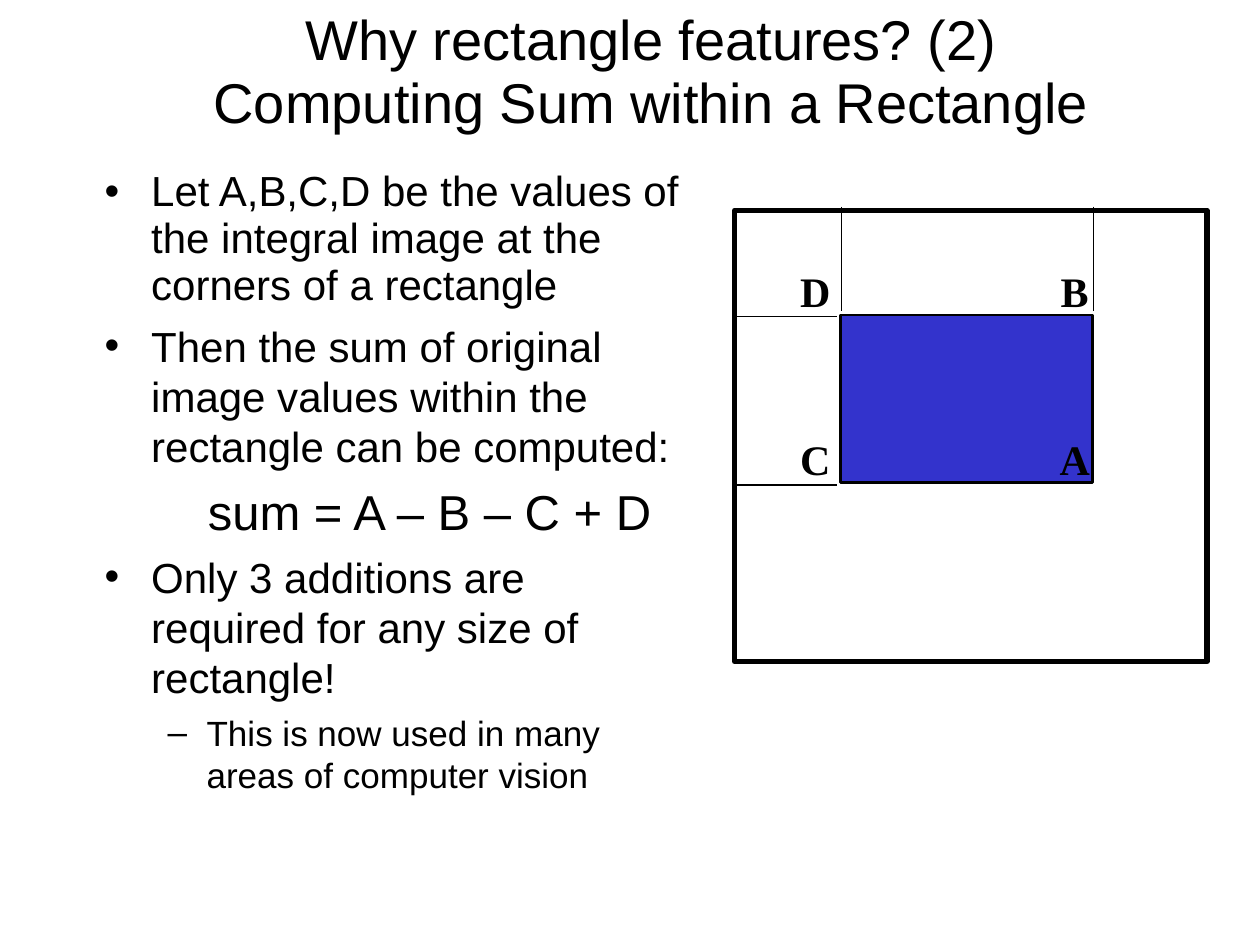
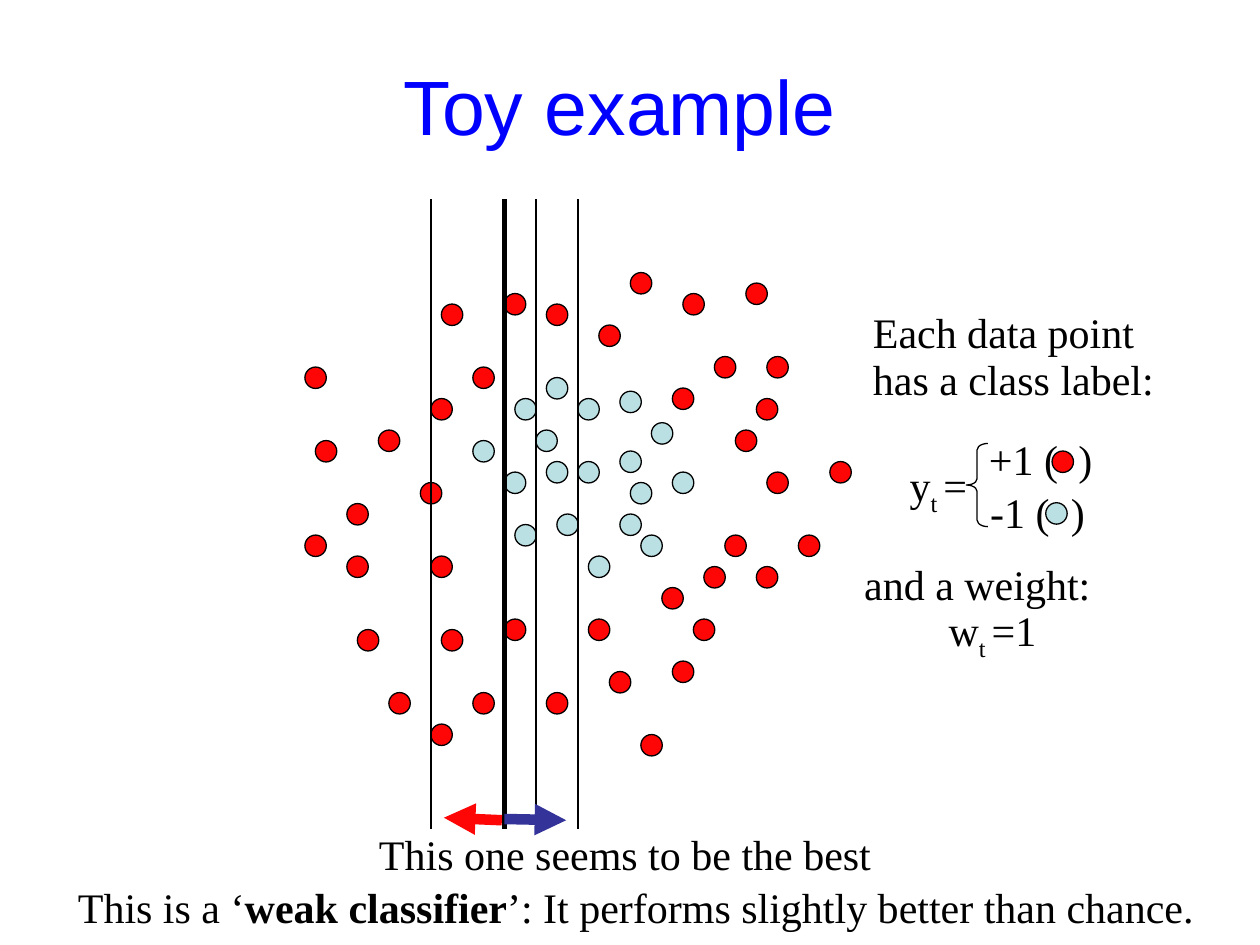
from lxml.etree import SubElement
from pptx import Presentation
from pptx.dml.color import RGBColor
from pptx.enum.shapes import MSO_CONNECTOR, MSO_SHAPE
from pptx.enum.text import MSO_ANCHOR, MSO_AUTO_SIZE, PP_ALIGN
from pptx.oxml.ns import qn
from pptx.util import Inches, Pt

COLORS = {
    "black": "000000",
    "white": "FFFFFF",
    "title blue": "0000FF",
    "rectangle": "3333CC",
    "positive": "FE0606",
    "negative": "BBE0E3",
    "right arrow": "333399",
}
HEADING_FONT = "Arial"
LABEL_FONT = "Times New Roman"
LINE_SPACING = 0.93
TITLE_ONLY, TITLE_AND_BODY = 5, 1
GRID = 1 / 12
DOT_SIZE = 0.17

# Bullet, text, size, left margin, first-line indent, level, space before, line spacing
BODY_ITEMS = [
    ("•", "Let A,B,C,D be the values of the integral image at the corners of a rectangle",
     24, 0.37, -0.37, 0, 0, LINE_SPACING),
    ("•", "Then the sum of original image values within the rectangle can be computed:",
     24, 0.37, -0.37, 0, 6, 1),
    (None, "sum = A – B – C + D", 28, 0.82, 0, 1, 6, 1),
    ("•", "Only 3 additions are required for any size of rectangle!",
     24, 0.37, -0.37, 0, 6, 1),
    ("–", "This is now used in many areas of computer vision",
     20, 0.81, -0.31, 1, 5, 1),
]

# Dot places as (column, row) steps of GRID inside the plot
NEGATIVE_DOTS = [
    (26, 19), (30, 18.3), (33, 21.3), (23, 25), (30, 30), (35, 26),
    (20, 31), (26, 25), (30, 24), (31, 27), (24, 30), (19, 26),
    (20, 19), (27, 34), (22, 22), (32, 32), (16, 23), (23, 17),
]
POSITIVE_DOTS = [
    (44, 26), (43, 19), (40, 32), (43, 35), (50, 25), (47, 32), (1, 23),
    (0, 16), (0, 32), (7, 22), (4, 29), (13, 41), (12, 34), (12, 50),
    (19, 40), (16, 47), (29, 45), (27, 40), (23, 47), (35, 44), (32, 51),
    (13, 10), (23, 10), (12, 19), (19, 9), (16, 16), (36, 9), (28, 12),
    (35, 18), (42, 8), (39, 15), (5, 41), (4, 34), (11, 27), (8, 47),
    (31, 7), (44, 15), (41, 22), (34, 37), (37, 40), (38, 35),
]
THRESHOLDS = [(26, 0.75), (22, 0.75), (19, 3), (12, 0.75)]
THRESHOLD_ROWS = 60


def color(name):
    return RGBColor.from_string(COLORS[name])


def place(shape, left, top, width, height):
    shape.left, shape.top = Inches(left), Inches(top)
    shape.width, shape.height = Inches(width), Inches(height)


def format_font(paragraph, name, size, color_name="black", bold=None):
    font = paragraph.font
    font.name, font.size, font.bold = name, Pt(size), bold
    font.color.rgb = color(color_name)


def set_title(slide, box, text, size, color_name="black"):
    title = slide.shapes.title
    place(title, *box)
    title.text_frame.text = text
    title.text_frame.auto_size = MSO_AUTO_SIZE.NONE
    title.text_frame.vertical_anchor = MSO_ANCHOR.MIDDLE
    paragraph = title.text_frame.paragraphs[0]
    paragraph.alignment = PP_ALIGN.CENTER
    paragraph.line_spacing = LINE_SPACING
    format_font(paragraph, HEADING_FONT, size, color_name)


def set_bullet(paragraph, character, margin, indent):
    properties = paragraph._p.get_or_add_pPr()
    properties.set("marL", str(Inches(margin)))
    properties.set("indent", str(Inches(indent)))
    if character:
        SubElement(properties, qn("a:buChar")).set("char", character)
    else:
        SubElement(properties, qn("a:buNone"))


def fill_body(slide, box):
    body = slide.placeholders[1]
    place(body, *box)
    frame = body.text_frame
    frame.auto_size = MSO_AUTO_SIZE.NONE
    for index, item in enumerate(BODY_ITEMS):
        bullet, text, size, margin, indent, level, before, spacing = item
        paragraph = frame.add_paragraph() if index else frame.paragraphs[0]
        paragraph.text = text
        paragraph.level = level
        set_bullet(paragraph, bullet, margin, indent)
        paragraph.space_before = Pt(before)
        paragraph.line_spacing = spacing
        format_font(paragraph, HEADING_FONT, size)


def add_preset(slide, kind, box, fill=None, line_width=0.75):
    shape = slide.shapes.add_shape(kind, *map(Inches, box))
    shape.shadow.inherit = False
    if fill:
        shape.fill.solid()
        shape.fill.fore_color.rgb = color(fill)
    else:
        shape.fill.background()
    shape.line.color.rgb = color("black")
    shape.line.width = Pt(line_width)
    return shape


def add_dot(slide, left, top, fill):
    add_preset(slide, MSO_SHAPE.OVAL, (left, top, DOT_SIZE, DOT_SIZE), fill)


def add_line(slide, start, end, width=0.75, color_name="black", arrow=False):
    line = slide.shapes.add_connector(
        MSO_CONNECTOR.STRAIGHT, *map(Inches, (*start, *end)))
    line.line.color.rgb = color(color_name)
    line.line.width = Pt(width)
    if arrow:
        SubElement(line.line._get_or_add_ln(), qn("a:tailEnd")).set("type", "triangle")
    SubElement(line._element.spPr, qn("a:effectLst"))


def add_label(slide, box, *parts, bold=None, alignment=PP_ALIGN.LEFT, tab=None):
    """Add a text box; each part is a string or a (string, style) pair."""
    frame = slide.shapes.add_textbox(*map(Inches, box)).text_frame
    frame.word_wrap = True
    centered = alignment == PP_ALIGN.CENTER
    frame.margin_left = Inches(0 if centered else 0.1)
    frame.margin_right = 0
    paragraph = frame.paragraphs[0]
    paragraph.alignment = alignment
    paragraph.line_spacing = LINE_SPACING
    if tab:
        stops = SubElement(paragraph._p.get_or_add_pPr(), qn("a:tabLst"))
        SubElement(stops, qn("a:tab"), pos=str(Inches(tab)), algn="l")
    format_font(paragraph, LABEL_FONT, 24, bold=bold)
    for part in parts:
        text, style = (part, None) if isinstance(part, str) else part
        run = paragraph.add_run()
        run.text = text
        if style == "bold":
            run.font.bold = True
        elif style == "subscript":
            run._r.get_or_add_rPr().set("baseline", "-25000")


def add_integral_image(slide, box):
    """Draw the image frame, the summed rectangle, its corners and guides."""
    left, top, width, height = box
    add_preset(slide, MSO_SHAPE.RECTANGLE, box, "white", 3)
    inner_left, inner_top = left + 0.84, top + 0.83
    inner_width, inner_height = 2, 1.33
    add_preset(slide, MSO_SHAPE.RECTANGLE,
               (inner_left, inner_top, inner_width, inner_height), "rectangle", 1.5)
    corners = [("D", 0, 0), ("B", 1, 0), ("C", 0, 1), ("A", 1, 1)]
    for letter, column, row in corners:
        label_box = (inner_left - 0.42 + column * 2.06,
                     inner_top - 0.41 + row * 1.34, 0.44, 0.48)
        add_label(slide, label_box, letter, bold=True, alignment=PP_ALIGN.CENTER)
    for y in (inner_top + 0.01, inner_top + inner_height + 0.02):
        add_line(slide, (left + 0.02, y), (inner_left - 0.03, y))
    for x in (inner_left + 0.01, inner_left + inner_width + 0.01):
        add_line(slide, (x, top - 0.03), (x, inner_top - 0.03))


def add_scatter(slide, left, top):
    """Draw the data points, the candidate thresholds and the side arrows."""
    for dots, fill in ((NEGATIVE_DOTS, "negative"), (POSITIVE_DOTS, "positive")):
        for column, row in dots:
            add_dot(slide, left + column * GRID, top + row * GRID, fill)
    bottom = top + THRESHOLD_ROWS * GRID
    for column, width in THRESHOLDS:
        x = left + column * GRID
        add_line(slide, (x, top), (x, bottom), width)
    best = left + 19 * GRID
    add_line(slide, (best - 0.02, bottom - 0.07), (best - 0.48, bottom - 0.09),
             6, "positive", arrow=True)
    add_line(slide, (best, bottom - 0.08), (best + 0.49, bottom - 0.07),
             6, "right arrow", arrow=True)


def add_class_legend(slide, left, top):
    """Explain the class label and the weight of each data point."""
    add_label(slide, (left + 0.07, top, 2.5, 0.9), "Each data point has a class label:")
    add_label(slide, (left + 0.36, top + 1.18, 0.65, 0.53),
              "y", ("t ", "subscript"), "=")
    brace = add_preset(slide, MSO_SHAPE.LEFT_BRACE, (left + 0.91, top + 1.1, 0.17, 0.66))
    brace.adjustments[0] = 0.3
    classes = [("+1 (\t)", 0.99, 1.01, 0.71, 1.59, 1.16, "positive"),
               ("-1 (\t)", 1, 1.43, 0.64, 1.54, 1.57, "negative")]
    for text, text_x, text_y, tab, dot_x, dot_y, fill in classes:
        add_label(slide, (left + text_x, top + text_y, 1.03, 0.48), text, tab=tab)
        add_dot(slide, left + dot_x, top + dot_y, fill)
    add_label(slide, (left, top + 2, 1.99, 0.48), "and a weight:")
    add_label(slide, (left + 0.67, top + 2.33, 0.9, 0.53),
              "w", ("t ", "subscript"), "=1")


def add_conclusions(slide, left, top):
    add_label(slide, (left + 2.39, top, 4.2, 0.48), "This one seems to be the best")
    add_label(slide, (left, top + 0.42, 9.3, 0.48), "This is a ‘",
              ("weak classifier", "bold"), "’: It performs slightly better than chance.")


def build_rectangle_slide(presentation):
    slide = presentation.slides.add_slide(presentation.slide_layouts[TITLE_AND_BODY])
    set_title(slide, (0.92, 0.01, 8.5, 1.14),
              "Why rectangle features? (2)\vComputing Sum within a Rectangle", 32)
    fill_body(slide, (0.73, 1.29, 4.81, 5.54))
    add_integral_image(slide, (5.83, 1.67, 3.75, 3.58))


def build_toy_slide(presentation):
    slide = presentation.slides.add_slide(presentation.slide_layouts[TITLE_ONLY])
    set_title(slide, (0.42, 0.25, 9, 1.25), "Toy example", 44, "title blue")
    add_scatter(slide, 2.42, 1.58)
    add_class_legend(slide, 6.76, 2.42)
    add_conclusions(slide, 0.52, 6.56)


def main():
    presentation = Presentation()
    presentation.slide_width, presentation.slide_height = Inches(10), Inches(7.5)
    build_rectangle_slide(presentation)
    build_toy_slide(presentation)
    presentation.save("out.pptx")


if __name__ == "__main__":
    main()
